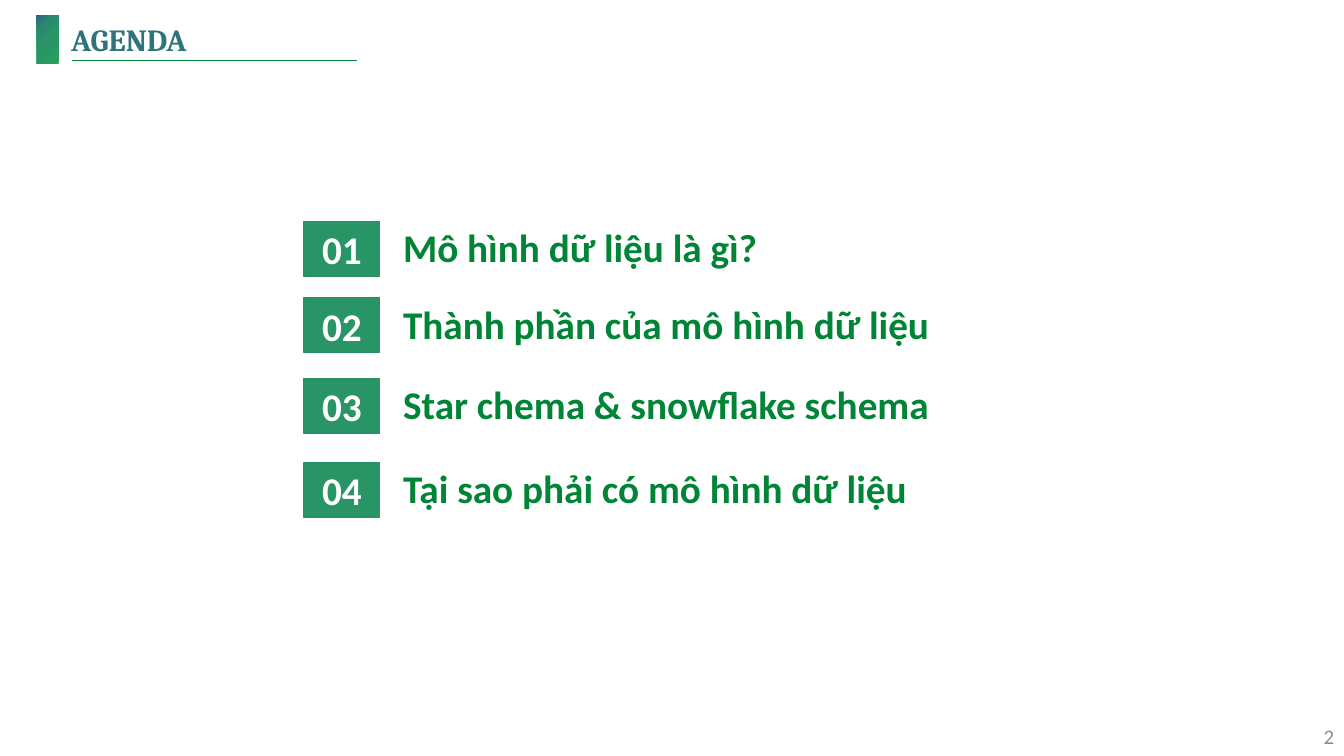
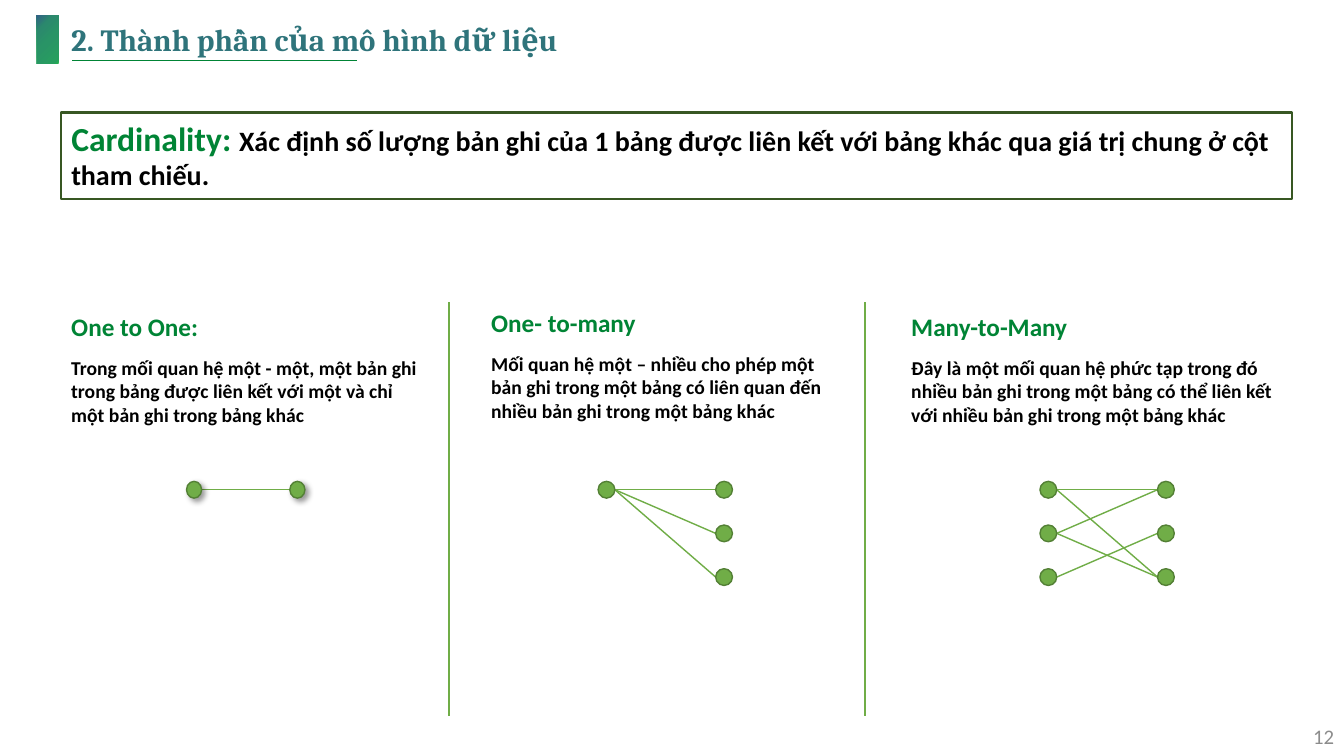
from lxml import etree
from pptx import Presentation
from pptx.dml.color import RGBColor
from pptx.enum.shapes import MSO_CONNECTOR, MSO_SHAPE
from pptx.enum.text import MSO_ANCHOR, PP_ALIGN
from pptx.oxml.ns import qn
from pptx.util import Emu, Inches, Pt

LINE = MSO_CONNECTOR.STRAIGHT
RECT, OVAL = MSO_SHAPE.RECTANGLE, MSO_SHAPE.OVAL
TOP, MIDDLE = MSO_ANCHOR.TOP, MSO_ANCHOR.MIDDLE
LEFT, CENTER, RIGHT = PP_ALIGN.LEFT, PP_ALIGN.CENTER, PP_ALIGN.RIGHT

COLS, ROWS = 160, 90
BODY, HEAD = "Calibri", "Cambria"
COLORS = {
    "white": "FFFFFF", "black": "000000", "gray": "8C8C8C",
    "title": "2F747B", "green": "008435", "frame": "385723",
    "badge": "299465", "edge": "2A8F68", "dot": "70AD47", "rim": "538035",
}
FADE = [(0, "325E89"), (11, "2F747B"), (23, "2B896D"),
        (53, "299466"), (92, "279E5F"), (99, "23B350")]


class Deck:
    """Hold the style and the current slide, measured in grid columns and rows."""

    def __init__(self):
        self.show = Presentation()
        self.show.slide_width, self.show.slide_height = Inches(13.33), Inches(7.5)
        self.shapes = None

    def grid(self, x, y):
        return (Emu(int(self.show.slide_width * x / COLS)),
                Emu(int(self.show.slide_height * y / ROWS)))

    def color(self, name):
        return RGBColor.from_string(COLORS[name])

    def page(self, title, number):
        self.shapes = self.show.slides.add_slide(self.show.slide_layouts[6]).shapes
        self.line(8.6, 7.2, 42.5, 7.2, "green")
        self.fade(self.box(4.4, 1.8, 2.6, 5.8))
        self.text(124, 85.2, 36, 4.8, [[(str(number), 14.8, "gray")]],
                  anchor=MIDDLE, align=RIGHT, bold=False)
        frame = self.text(7.3, 0.8, 134.3, 8.3, [[(title, 22, "title")]],
                          anchor=MIDDLE, font=HEAD)
        frame.paragraphs[0].line_spacing = 0.9

    def box(self, x, y, w, h, fill=None, line=None, width=1, kind=RECT):
        shape = self.shapes.add_shape(kind, *self.grid(x, y), *self.grid(w, h))
        shape.shadow.inherit = False
        if fill:
            shape.fill.solid()
            shape.fill.fore_color.rgb = self.color(fill)
        else:
            shape.fill.background()
        if line:
            shape.line.color.rgb = self.color(line)
            shape.line.width = Pt(width)
        else:
            shape.line.fill.background()
        return shape

    def fade(self, shape):
        shape.fill.gradient()
        grad = shape._element.spPr.find(qn("a:gradFill"))
        for part in list(grad):
            grad.remove(part)
        stops = etree.SubElement(grad, qn("a:gsLst"))
        for place, tint in FADE:
            stop = etree.SubElement(stops, qn("a:gs"), pos=str(place * 1000))
            etree.SubElement(stop, qn("a:srgbClr"), val=tint)
        ring = etree.SubElement(grad, qn("a:path"), path="circle")
        etree.SubElement(ring, qn("a:fillToRect"), r="100000", b="100000")

    def shade(self, shape):
        effect = shape._element.spPr.find(qn("a:effectLst"))
        glow = etree.SubElement(effect, qn("a:outerShdw"), blurRad=str(int(Pt(4))),
                                dist=str(int(Pt(3))), dir="2700000")
        tint = etree.SubElement(glow, qn("a:srgbClr"), val=COLORS["black"])
        etree.SubElement(tint, qn("a:alpha"), val="40000")

    def line(self, x1, y1, x2, y2, color, width=1):
        line = self.shapes.add_connector(LINE, *self.grid(x1, y1), *self.grid(x2, y2))
        line.line.color.rgb = self.color(color)
        line.line.width = Pt(width)
        etree.SubElement(line._element.spPr, qn("a:effectLst"))

    def text(self, x, y, w, h, rows, **style):
        box = self.shapes.add_textbox(*self.grid(x, y), *self.grid(w, h))
        return self.label(box.text_frame, rows, **style)

    def label(self, frame, rows, anchor=TOP, align=LEFT, font=BODY, bold=True):
        frame.word_wrap = True
        frame.vertical_anchor = anchor
        for i, runs in enumerate(rows):
            para = frame.add_paragraph() if i else frame.paragraphs[0]
            para.alignment = align
            para.font.name, para.font.bold = font, bold
            if i:
                para.space_before = Pt(10)
            for words, size, color in runs:
                run = para.add_run()
                run.text = words
                face = para.font if len(runs) == 1 else run.font
                face.size = Pt(size)
                face.color.rgb = self.color(color)
        return frame

    def links(self, left, right, pairs, wide=2, shade=False):
        def row(i):
            return 58.3 + 5.2 * i

        for a, b in pairs:
            self.line(left + wide / 2, row(a), right - wide / 2, row(b), "dot")
        dots = {(left, a) for a, _ in pairs} | {(right, b) for _, b in pairs}
        for x, i in sorted(dots):
            dot = self.box(x - wide / 2, row(i) - 1, wide, 2, "dot", "rim", kind=OVAL)
            if shade:
                self.shade(dot)


def agenda(deck):
    deck.page("AGENDA", 2)
    items = [
        (26.4, "Mô hình dữ liệu là gì?"),
        (35.5, "Thành phần của mô hình dữ liệu"),
        (45.1, "Star chema & snowflake schema"),
        (55.1, "Tại sao phải có mô hình dữ liệu"),
    ]
    for i, (top, topic) in enumerate(items, 1):
        badge = deck.box(36.2, top, 9, 6.5, "badge", "edge")
        deck.label(badge.text_frame, [[(f"{i:02}", 28, "white")]],
                   anchor=MIDDLE, align=CENTER)
        deck.text(46.8, top - 0.4, 70, 6.8, [[(topic, 28, "green")]])


def model(deck):
    deck.page("2. Thành phần của mô hình dữ liệu", 12)
    frame = deck.box(7.3, 13.4, 146.5, 10.3, line="frame", width=1.5)
    deck.label(frame.text_frame, [[
        ("Cardinality: ", 24, "green"),
        ("Xác định số lượng bản ghi của 1 bảng được liên kết với bảng khác "
         "qua giá trị chung ở cột tham chiếu.", 20, "black"),
    ]])
    kinds = [
        (36.5, 43.9, "One to One:",
         "Trong mối quan hệ một - một, một bản ghi trong bảng được liên kết "
         "với một và chỉ một bản ghi trong bảng khác"),
        (36, 43.9, "One- to-many",
         "Mối quan hệ một – nhiều cho phép một bản ghi trong một bảng có "
         "liên quan đến nhiều bản ghi trong một bảng khác"),
        (36.5, 46.6, "Many-to-Many",
         "Đây là một mối quan hệ phức tạp trong đó nhiều bản ghi trong một bảng "
         "có thể liên kết với nhiều bản ghi trong một bảng khác"),
    ]
    for i, (top, wide, name, note) in enumerate(kinds):
        deck.text(7.3 + 50 * i, top, wide, 12.5,
                  [[(name, 18, "green")], [(note, 14, "black")]])
    deck.links(23.1, 35.4, [(0, 0)], wide=1.8, shade=True)
    deck.links(72.2, 86.2, [(0, 2), (0, 1), (0, 0)])
    deck.links(124.8, 138.8, [(0, 2), (2, 1), (1, 0), (1, 2), (0, 0)])
    for x in (53.5, 103):
        deck.line(x, 36, x, 85.2, "dot", 1.5)


def main():
    deck = Deck()
    agenda(deck)
    model(deck)
    deck.show.save("out.pptx")


if __name__ == "__main__":
    main()
